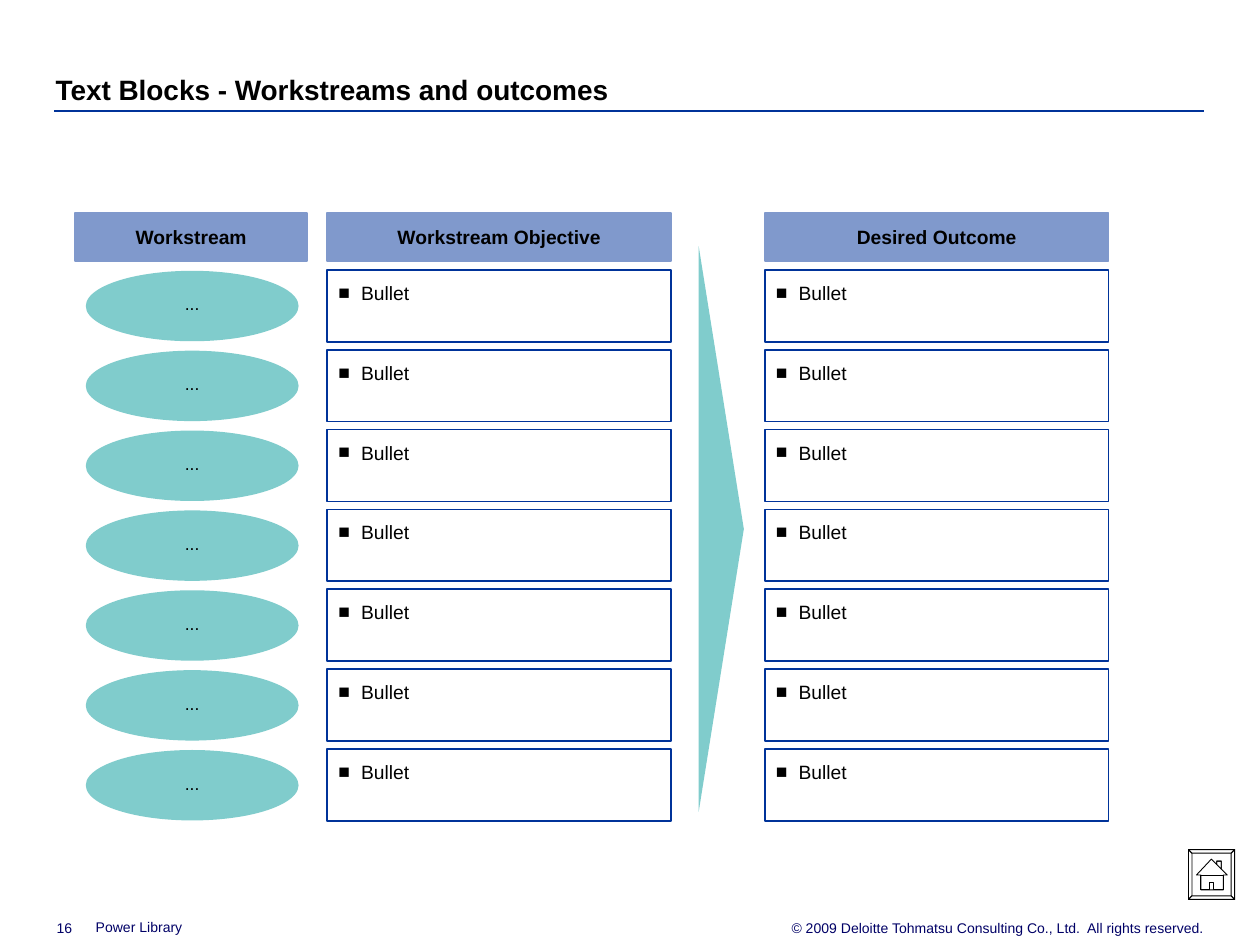
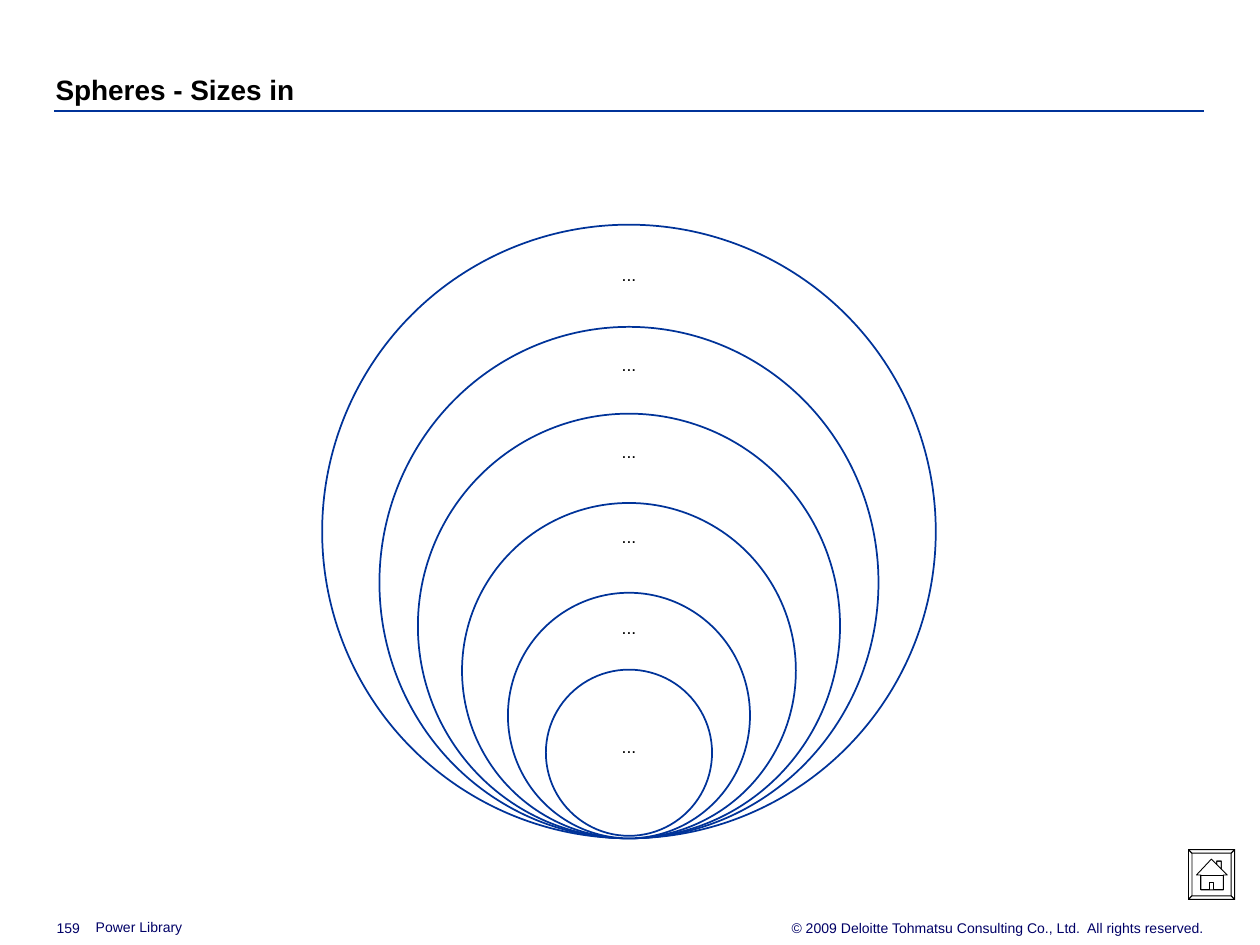
from dataclasses import dataclass

from lxml import etree
from pptx import Presentation
from pptx.dml.color import RGBColor
from pptx.enum.shapes import MSO_CONNECTOR, MSO_SHAPE
from pptx.enum.text import MSO_ANCHOR, MSO_AUTO_SIZE, PP_ALIGN
from pptx.oxml.ns import qn
from pptx.util import Cm, Pt

RECT, OVAL, TRIANGLE = MSO_SHAPE.RECTANGLE, MSO_SHAPE.OVAL, MSO_SHAPE.ISOSCELES_TRIANGLE
STRAIGHT = MSO_CONNECTOR.STRAIGHT
TOP, MIDDLE, BOTTOM = MSO_ANCHOR.TOP, MSO_ANCHOR.MIDDLE, MSO_ANCHOR.BOTTOM
LEFT, CENTER, RIGHT = PP_ALIGN.LEFT, PP_ALIGN.CENTER, PP_ALIGN.RIGHT
NO_FIT = MSO_AUTO_SIZE.NONE
TITLE_ONLY = 5


@dataclass(frozen=True)
class Theme:
    font: str = "Arial"
    black: str = "000000"
    white: str = "FFFFFF"
    navy: str = "003399"
    footer: str = "000066"
    header: str = "8099CC"
    teal: str = "80CCCC"
    title_size: float = 16
    body_size: float = 11
    label_size: float = 10
    footer_size: float = 8
    rule_width: float = 1.5
    outline: float = 1
    icon_line: float = 0.5


THEME = Theme()

COPYRIGHT = "© 2009 Deloitte Tohmatsu Consulting Co., Ltd.  All rights reserved."

BUTTON_W, BUTTON_H, BEVEL = 93, 100, 7
OUTER = [(0, 0), (BUTTON_W, 0), (BUTTON_W, BUTTON_H), (0, BUTTON_H)]
INNER = [(BEVEL, BEVEL), (BUTTON_W - BEVEL, BEVEL),
         (BUTTON_W - BEVEL, BUTTON_H - BEVEL), (BEVEL, BUTTON_H - BEVEL)]
CHIMNEY = [(57, 30), (57, 23), (66, 23), (66, 39)]
HOUSE = [(46, 19), *CHIMNEY, (78, 51), (70, 51), (70, 81), (25, 81), (25, 51), (16, 51)]
WALLS = [(43, 65), (51, 65), (51, 81), (70, 81), (70, 51), (25, 51), (25, 81), (43, 81)]

ROWS, ROW_TOP, ROW_PITCH = 7, 5.44, 1.61
BOX_H, OVAL_H = 1.45, 1.42
COLUMNS = [("Workstream", 1.52, 4.67),
           ("Workstream Objective", 6.6, 6.93),
           ("Desired Outcome", 15.42, 6.93)]

SPHERE_CENTER = 12.68
SPHERES = [(12.37, 12.37, 16.9), (10.06, 10.31, 16.9), (8.51, 8.56, 16.9),
           (6.73, 6.76, 16.9), (4.88, 4.95, 16.9), (3.35, 3.35, 16.85)]
SPHERE_LABELS = [(5.36, 3.71), (7.16, 3.12), (8.92, 2.79),
                 (10.64, 2.79), (12.47, 1.88), (14.86, 1.88)]
LABEL_H = 0.58


def rgb(value):
    return RGBColor.from_string(value)


def apply(target, values):
    for name, value in values.items():
        setattr(target, name, value)


def set_line(sp, color, width):
    if color is None:
        sp.line.fill.background()
    else:
        sp.line.color.rgb = rgb(color)
        sp.line.width = Pt(width)


def add_bullet(p):
    pPr = p._p.get_or_add_pPr()
    pPr.set("marL", str(Cm(0.48)))
    pPr.set("indent", str(Cm(-0.46)))
    color = etree.SubElement(pPr, qn("a:buClr"))
    etree.SubElement(color, qn("a:srgbClr"), val=THEME.black)
    etree.SubElement(pPr, qn("a:buFont"), typeface=THEME.font)
    etree.SubElement(pPr, qn("a:buChar"), char="■")


def write(sp, text, size, color=THEME.black, bold=False, align=LEFT, anchor=TOP,
          inset=(0, 0), spacing=1.0, bullet=False):
    tf = sp.text_frame
    side, end = map(Cm, inset)
    apply(tf, {"word_wrap": True, "auto_size": NO_FIT, "vertical_anchor": anchor,
               "margin_left": side, "margin_right": side,
               "margin_top": end, "margin_bottom": end})
    p = tf.paragraphs[0]
    if bullet:
        add_bullet(p)
    apply(p, {"alignment": align, "line_spacing": spacing, "space_before": Pt(0)})
    r = p.add_run()
    r.text = text
    apply(r.font, {"name": THEME.font, "size": Pt(size), "bold": bold})
    r.font.color.rgb = rgb(color)


def add_shape(shapes, kind, box, fill, line=None):
    sp = shapes.add_shape(kind, *map(Cm, box))
    sp.shadow.inherit = False
    sp.fill.solid()
    sp.fill.fore_color.rgb = rgb(fill)
    set_line(sp, line, THEME.outline)
    return sp


def add_footer_text(s, box, text, **style):
    sp = s.shapes.add_textbox(*map(Cm, box))
    write(sp, text, THEME.footer_size, THEME.footer, **style)


def add_title_rule(s):
    line = s.shapes.add_connector(STRAIGHT, Cm(1.09), Cm(2.24), Cm(24.28), Cm(2.24))
    set_line(line, THEME.navy, THEME.rule_width)
    etree.SubElement(line._element.spPr, qn("a:effectLst"))


def add_home_button(s):
    bevels = [[OUTER[i - 1], OUTER[i], INNER[i], INNER[i - 1]] for i in range(4)]
    builder = s.shapes.build_freeform(*OUTER[0], scale=Cm(1) / 100)
    builder.add_line_segments(OUTER[1:])
    for contour in [*bevels, HOUSE, CHIMNEY, WALLS]:
        builder.move_to(*contour[0])
        builder.add_line_segments(contour[1:])
    sp = builder.convert_to_shape(Cm(23.96), Cm(17.13))
    sp.shadow.inherit = False
    sp.fill.background()
    set_line(sp, THEME.black, THEME.icon_line)


def add_slide(prs, title, number):
    s = prs.slides.add_slide(prs.slide_layouts[TITLE_ONLY])
    add_title_rule(s)
    add_footer_text(s, (14.63, 18.54, 9.65, 0.33), COPYRIGHT, align=RIGHT)
    add_home_button(s)
    add_footer_text(s, (1.93, 18.52, 11.23, 0.33), "Power Library", anchor=BOTTOM)
    add_footer_text(s, (1.14, 18.54, 0.81, 0.33), number, anchor=BOTTOM)
    sp = s.shapes.title
    apply(sp, {"left": Cm(1.12), "top": Cm(1.42), "width": Cm(23.19), "height": Cm(0.71)})
    write(sp, title, THEME.title_size, bold=True, anchor=BOTTOM, spacing=1.06)
    return s


def add_header(s, text, left, width):
    sp = add_shape(s.shapes, RECT, (left, 4.29, width, 0.97), THEME.header, THEME.header)
    write(sp, text, THEME.body_size, bold=True, align=CENTER, anchor=MIDDLE,
          inset=(0.25, 0.13))


def add_workstream(s, top):
    sp = add_shape(s.shapes, OVAL, (1.73, top, 4.29, OVAL_H), THEME.teal)
    write(sp, "...", THEME.label_size, align=CENTER, inset=(0.25, 0.25))


def add_bullet_box(s, left, top, width):
    sp = add_shape(s.shapes, RECT, (left, top, width, BOX_H), THEME.white, THEME.navy)
    write(sp, "Bullet", THEME.body_size, inset=(0.2, 0.2), spacing=1.06, bullet=True)


def build_workstreams(prs):
    s = add_slide(prs, "Text Blocks - Workstreams and outcomes", "16")
    for column in COLUMNS:
        add_header(s, *column)
    arrow = add_shape(s.shapes, TRIANGLE, (8.84, 10.21, 11.4, 0.91), THEME.teal)
    arrow.rotation = 90
    for row in range(ROWS):
        top = ROW_TOP + row * ROW_PITCH
        add_workstream(s, top + 0.02)
        for _, left, width in COLUMNS[1:]:
            add_bullet_box(s, left, top, width)


def build_spheres(prs):
    s = add_slide(prs, "Spheres - Sizes in", "159")
    shapes = s.shapes.add_group_shape().shapes
    for width, height, bottom in SPHERES:
        box = (SPHERE_CENTER - width / 2, bottom - height, width, height)
        add_shape(shapes, OVAL, box, THEME.white, THEME.navy)
    for top, width in SPHERE_LABELS:
        box = (SPHERE_CENTER - width / 2, top, width, LABEL_H)
        sp = add_shape(shapes, RECT, box, THEME.white)
        write(sp, "...", THEME.label_size, align=CENTER, spacing=0.95)


def main():
    prs = Presentation()
    apply(prs, {"slide_width": Cm(25.4), "slide_height": Cm(19.05)})
    build_workstreams(prs)
    build_spheres(prs)
    prs.save("out.pptx")


if __name__ == "__main__":
    main()
